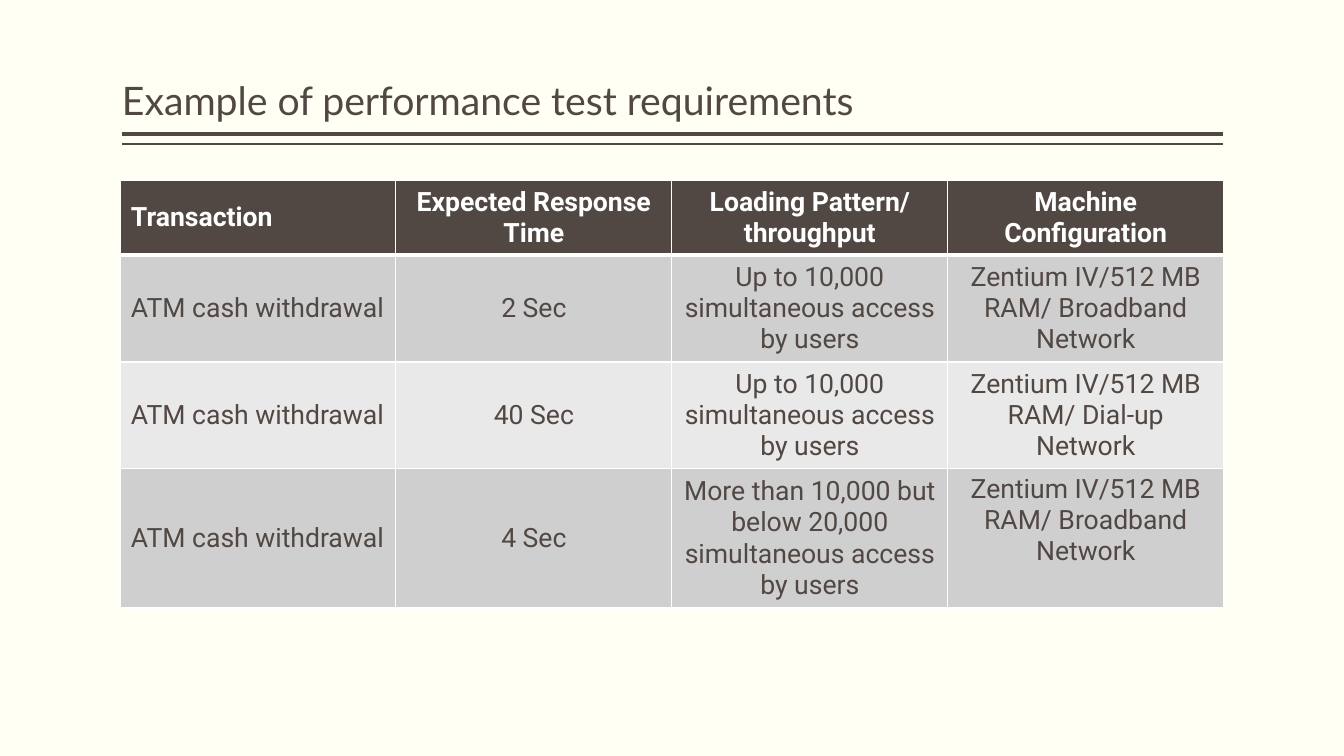
from lxml import etree
from pptx import Presentation
from pptx.dml.color import RGBColor
from pptx.enum import shapes, text
from pptx.oxml import ns
from pptx.util import Pt

BROWN = RGBColor(0x51, 0x48, 0x43)
WHITE = RGBColor(0xFF, 0xFF, 0xFF)
CREAM = RGBColor(0xFF, 0xFF, 0xF3)
DARK_BAND = RGBColor(0xD0, 0xCF, 0xCF)
LIGHT_BAND = RGBColor(0xE9, 0xE9, 0xE9)

LEFT, RIGHT = 87.1, 873.4
ROWS = [
    ("Transaction", "Expected Response Time", "Loading Pattern/ throughput", "Machine Configuration"),
    ("ATM cash withdrawal", "2 Sec", "Up to 10,000 simultaneous access by users",
     "Zentium IV/512 MB RAM/ Broadband Network"),
    ("ATM cash withdrawal", "40 Sec", "Up to 10,000 simultaneous access by users",
     "Zentium IV/512 MB RAM/ Dial-up Network"),
    ("ATM cash withdrawal", "4 Sec", "More than 10,000 but below 20,000 simultaneous access by users",
     "Zentium IV/512 MB RAM/ Broadband Network"),
]
ROW_HEIGHTS = [53.3, 76.3, 76.3, 99.4]
COLUMN_WIDTH = 197.1


def add_border(cell, side, width):
    properties = cell._tc.get_or_add_tcPr()
    line = etree.SubElement(properties, ns.qn(f"a:ln{side}"), w=str(Pt(width)))
    fill = etree.SubElement(line, ns.qn("a:solidFill"))
    etree.SubElement(fill, ns.qn("a:srgbClr"), val=str(WHITE))


deck = Presentation()
deck.slide_width, deck.slide_height = Pt(960), Pt(540)
page = deck.slides.add_slide(deck.slide_layouts[6])
page.background.fill.solid()
page.background.fill.fore_color.rgb = CREAM

for y, weight in ((95.8, 3), (103, 1)):
    rule = page.shapes.add_connector(shapes.MSO_CONNECTOR.STRAIGHT, Pt(RIGHT), Pt(y), Pt(LEFT), Pt(y))
    rule.line.color.rgb = BROWN
    rule.line.width = Pt(weight)
    etree.SubElement(rule._element.spPr, ns.qn("a:effectLst"))

title = page.shapes.add_textbox(Pt(LEFT), Pt(5.8), Pt(RIGHT - LEFT), Pt(86.4))
frame = title.text_frame
frame.word_wrap = True
frame.vertical_anchor = text.MSO_ANCHOR.BOTTOM
frame.margin_left = frame.margin_right = 0
para = frame.paragraphs[0]
para.text = "Example of performance test requirements"
para.line_spacing = 0.9
para.font.name = "Lato"
para.font.size = Pt(28)
para.font.color.rgb = BROWN

table = page.shapes.add_table(
    len(ROWS), len(ROWS[0]), Pt(85.7), Pt(129), Pt(4 * COLUMN_WIDTH), Pt(sum(ROW_HEIGHTS))
).table
for column in table.columns:
    column.width = Pt(COLUMN_WIDTH)

for r, (height, wording) in enumerate(zip(ROW_HEIGHTS, ROWS)):
    table.rows[r].height = Pt(height)
    header = r == 0
    for c, words in enumerate(wording):
        cell = table.cell(r, c)
        for side in "LRTB":
            add_border(cell, side, 3 if (r, side) in ((0, "B"), (1, "T")) else 1)
        cell.fill.solid()
        cell.fill.fore_color.rgb = BROWN if header else DARK_BAND if r % 2 else LIGHT_BAND
        cell.margin_left = cell.margin_right = Pt(7.9)
        cell.margin_top = cell.margin_bottom = Pt(3.6)
        cell.vertical_anchor = text.MSO_ANCHOR.MIDDLE
        para = cell.text_frame.paragraphs[0]
        para.text = words
        para.alignment = text.PP_ALIGN.CENTER if c else text.PP_ALIGN.LEFT
        para.font.name = "Roboto"
        para.font.size = Pt(19)
        para.font.bold = header
        para.font.color.rgb = WHITE if header else BROWN

table.cell(3, 3).vertical_anchor = text.MSO_ANCHOR.TOP

deck.save("out.pptx")
